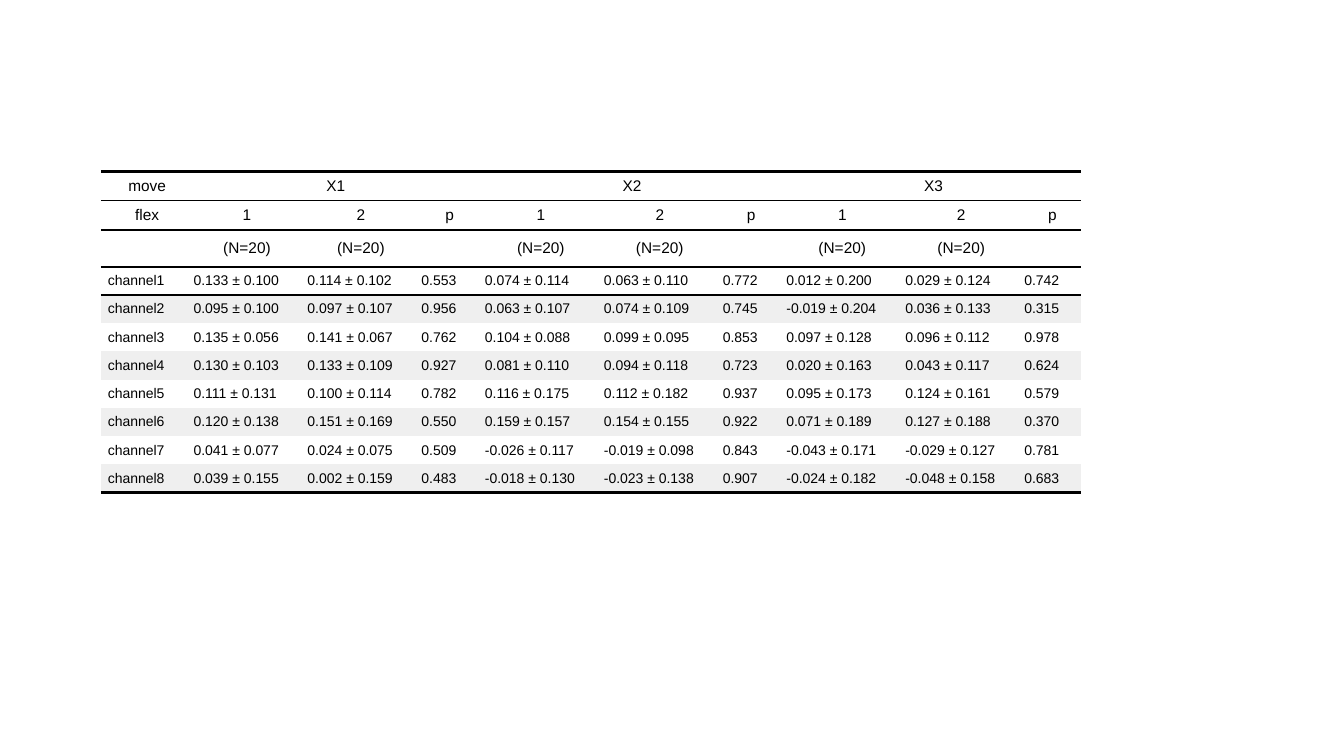
import pptx
import pptx.util
import pptx.dml.color
import pptx.enum.text
import pptx.oxml
import pptx.oxml.ns

Inch, Pt = pptx.util.Inches, pptx.util.Pt
ALIGN = pptx.enum.text.PP_ALIGN
HUES = {"ink": "000000", "band": "EFEFEF"}
PLAIN = "{2D5ABB26-0587-4C30-8999-92F81FD0307C}"  # no style, no grid

SPOT = (0.075, 0.227)  # left and top as shares of the slide
COLS = [0.85, 1.13, 1.13, 0.63] + [1.18, 1.18, 0.63] * 2
HEAD = [0.29, 0.29, 0.32]
TALL = 0.28
RULES = {0: 2, 1: 1, 3: 2, 11: 2}  # row edge: line width in points

CELL = {
    "margin_left": 0, "margin_right": 0,
    "margin_top": Inch(0.03), "margin_bottom": Inch(0.03),
    "vertical_anchor": pptx.enum.text.MSO_ANCHOR.MIDDLE,
}
PARA = {"space_before": Pt(2), "space_after": Pt(2)}
TOP = {"size": Pt(11), "name": "Arial"}
BODY = {"size": Pt(10), "name": "Arial"}

MOVES = ["X1", "X2", "X3"]
# each row: three moves, each with mean and deviation for flex 1 and 2, then p
DATA = """
0.133 0.100 0.114 0.102 0.553 0.074 0.114 0.063 0.110 0.772 0.012 0.200 0.029 0.124 0.742
0.095 0.100 0.097 0.107 0.956 0.063 0.107 0.074 0.109 0.745 -0.019 0.204 0.036 0.133 0.315
0.135 0.056 0.141 0.067 0.762 0.104 0.088 0.099 0.095 0.853 0.097 0.128 0.096 0.112 0.978
0.130 0.103 0.133 0.109 0.927 0.081 0.110 0.094 0.118 0.723 0.020 0.163 0.043 0.117 0.624
0.111 0.131 0.100 0.114 0.782 0.116 0.175 0.112 0.182 0.937 0.095 0.173 0.124 0.161 0.579
0.120 0.138 0.151 0.169 0.550 0.159 0.157 0.154 0.155 0.922 0.071 0.189 0.127 0.188 0.370
0.041 0.077 0.024 0.075 0.509 -0.026 0.117 -0.019 0.098 0.843 -0.043 0.171 -0.029 0.127 0.781
0.039 0.155 0.002 0.159 0.483 -0.018 0.130 -0.023 0.138 0.907 -0.024 0.182 -0.048 0.158 0.683
"""


def apply(item, looks):
    """Set every attribute in looks on item."""
    for key, value in looks.items():
        setattr(item, key, value)


def color(name):
    """Return the named colour."""
    return pptx.dml.color.RGBColor.from_string(HUES[name])


def rows():
    """Return the wording of all table rows."""
    grid = [["move"] + [t for move in MOVES for t in (move, "", "")],
            ["flex"] + ["1", "2", "p"] * 3,
            [""] + ["(N=20)", "(N=20)", ""] * 3]
    for num, line in enumerate(DATA.strip().splitlines(), 1):
        vals, row = line.split(), [f"channel{num}"]
        for at in range(0, len(vals), 5):
            a, b, c, d, p = vals[at:at + 5]
            row += [f"{a} ± {b}", f"{c} ± {d}", p]
        grid.append(row)
    return grid


def rule(cell, side, width):
    """Draw one cell edge, side being T or B."""
    space = pptx.oxml.ns.nsdecls("a")
    edge = pptx.oxml.parse_xml(
        f'<a:ln{side} {space} w="{Pt(width)}"><a:solidFill>'
        f'<a:srgbClr val="{HUES["ink"]}"/></a:solidFill></a:ln{side}>')
    cell._tc.get_or_add_tcPr().append(edge)


def write(cell, text, font, align):
    """Put formatted text in a cell."""
    para = cell.text_frame.paragraphs[0]
    apply(para, {**PARA, "alignment": align})
    para._p.get_or_add_pPr().set("marL", str(Inch(0.07)))
    run = para.add_run()
    run.text = text
    apply(run.font, font)
    run.font.color.rgb = color("ink")


def dress(cell, row):
    """Set margins, edges and fill of a cell by its row."""
    apply(cell, CELL)
    for side, edge in (("T", row), ("B", row + 1)):
        if edge in RULES:
            rule(cell, side, RULES[edge])
    if row > len(HEAD) and (row - len(HEAD)) % 2:
        cell.fill.solid()
        cell.fill.fore_color.rgb = color("band")
    else:
        cell.fill.background()


def table(slide, spot, grid):
    """Add the table of channel results."""
    highs = HEAD + [TALL] * (len(grid) - len(HEAD))
    frame = slide.shapes.add_table(len(grid), len(COLS), *spot,
                                   Inch(sum(COLS)), Inch(sum(highs)))
    tab = frame.table
    apply(tab, {"first_row": False, "horz_banding": False})
    tab._tbl.tblPr.find(pptx.oxml.ns.qn("a:tableStyleId")).text = PLAIN
    for col, wide in zip(tab.columns, COLS):
        col.width = Inch(wide)
    for row, high in zip(tab.rows, highs):
        row.height = Inch(high)
    for r, line in enumerate(grid):
        top = r < len(HEAD)
        for c, text in enumerate(line):
            dress(tab.cell(r, c), r)
            if text:
                write(tab.cell(r, c), text, TOP if top else BODY,
                      ALIGN.CENTER if top else ALIGN.LEFT)
    for c in range(1, len(COLS), 3):
        tab.cell(0, c).merge(tab.cell(0, c + 2))


def main():
    """Build and save the slide."""
    deck = pptx.Presentation()
    apply(deck, {"slide_width": Inch(13.33), "slide_height": Inch(7.5)})
    slide = deck.slides.add_slide(deck.slide_layouts[6])
    sizes = (deck.slide_width, deck.slide_height)
    spot = [int(size * share) for size, share in zip(sizes, SPOT)]
    table(slide, spot, rows())
    deck.save("out.pptx")


main()
